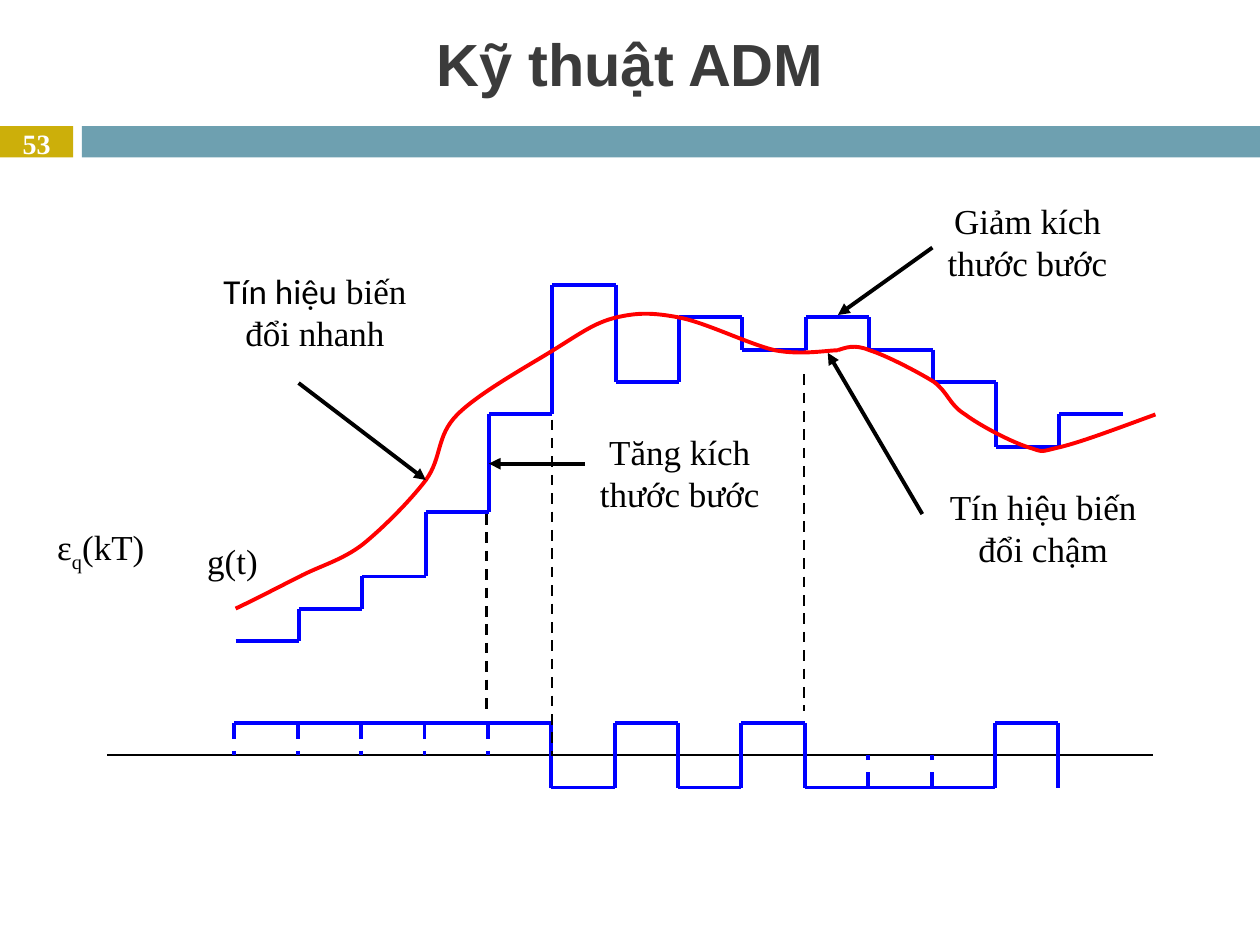
from dataclasses import dataclass
from itertools import pairwise
from typing import Optional

from lxml.etree import SubElement
from pptx import Presentation
from pptx.dml.color import RGBColor
from pptx.enum.dml import MSO_LINE
from pptx.enum.shapes import MSO_CONNECTOR, MSO_SHAPE
from pptx.enum.text import MSO_ANCHOR, PP_ALIGN
from pptx.oxml.ns import qn
from pptx.util import Inches, Pt

COLORS = {
    "gold": "CCAF0A", "teal": "6EA0B0", "white": "FFFFFF", "title": "3B3B3B",
    "black": "000000", "blue": "0000FF", "red": "FF0000",
}
SERIF = "Times New Roman"
Point = tuple[float, float]


@dataclass
class Span:
    text: str
    font: str = SERIF
    baseline: int = 0


@dataclass
class Label:
    spans: list[Span]
    frame: tuple[float, float, float, float]
    arrow: Optional[tuple[Point, Point]] = None
    joined: bool = False  # arrow starts at the middle of the left side


def color(name: str) -> RGBColor:
    return RGBColor.from_string(COLORS[name])


def add_text(page, content: str | list[Span], frame, *, size: float = 20,
             font: str = SERIF, ink: str = "black", bold: bool = False,
             anchor=MSO_ANCHOR.TOP):
    box = page.shapes.add_textbox(*map(Inches, frame))
    text_frame = box.text_frame
    text_frame.word_wrap = True
    text_frame.vertical_anchor = anchor
    text_frame.margin_left = text_frame.margin_right = 0
    text_frame.margin_top = text_frame.margin_bottom = 0
    para = text_frame.paragraphs[0]
    para.alignment = PP_ALIGN.CENTER
    for span in [Span(content, font)] if isinstance(content, str) else content:
        run = para.add_run()
        run.text = span.text
        run.font.name = span.font
        run.font.size = Pt(size)
        run.font.bold = bold
        run.font.color.rgb = color(ink)
        if span.baseline:
            run.font._element.set("baseline", str(span.baseline * 1000))
    return box


def add_bar(page, frame, fill: str) -> None:
    bar = page.shapes.add_shape(MSO_SHAPE.RECTANGLE, *map(Inches, frame))
    bar.shadow.inherit = False
    bar.fill.solid()
    bar.fill.fore_color.rgb = color(fill)
    bar.line.fill.background()


def add_line(page, start: Point, end: Point, *, ink: str = "blue",
             width: float = 2.25, dashed: bool = False, arrow: bool = False):
    line = page.shapes.add_connector(
        MSO_CONNECTOR.STRAIGHT, *map(Inches, (*start, *end)))
    line.line.color.rgb = color(ink)
    line.line.width = Pt(width)
    if dashed:
        line.line.dash_style = MSO_LINE.DASH
    if arrow:
        SubElement(line.line._get_or_add_ln(), qn("a:tailEnd"), type="triangle")
    SubElement(line._element.spPr, qn("a:effectLst"))
    return line


def add_curve(page, points: list[Point], ink: str) -> None:
    """Draw Bezier segments: a start, then two handles and an end for each."""
    builder = page.shapes.build_freeform(
        *[Inches(value) for value in points[0]], scale=1.0)
    builder.add_line_segments(
        [(Inches(x), Inches(y)) for x, y in points[1:]], close=False)
    curve = builder.convert_to_shape()
    curve.shadow.inherit = False
    curve.fill.background()
    curve.line.color.rgb = color(ink)
    curve.line.width = Pt(2.25)
    # Turn every three straight segments into one cubic segment
    outline = next(curve._element.iter(qn("a:path")))
    segments = outline.findall(qn("a:lnTo"))
    for first in range(0, len(segments), 3):
        cubic = SubElement(outline, qn("a:cubicBezTo"))
        for segment in segments[first:first + 3]:
            cubic.append(segment[0])
            outline.remove(segment)


def add_staircase(page, levels: list[int]) -> None:
    left, base = 1.87, 5.09
    step, rise = (8.91 - left) / len(levels), (base - 2.26) / max(levels)
    heights = [base - rise * level for level in levels]
    for index, y in enumerate(heights):
        add_line(page, (left + step * index, y), (left + step * (index + 1), y))
    for index, (before, after) in enumerate(pairwise(heights), start=1):
        x = left + step * index
        add_line(page, (x, before), (x, after))


def add_pulses(page, signs: str) -> None:
    left, axis = 1.86, 5.99
    step = (8.40 - left) / len(signs)
    level = {"+": 5.74, "-": 6.25}
    for index, sign in enumerate(signs):
        x, y = left + step * index, level[sign]
        add_line(page, (x, y), (x + step, y))
        if index and signs[index - 1] != sign:
            add_line(page, (x, level["+"]), (x, level["-"]))
        else:
            add_line(page, (x, y), (x, axis), dashed=True)
    right = left + step * len(signs)
    add_line(page, (right, level["+"]), (right, level["-"]))


LABELS = [
    Label([Span("g(t)")], (1.34, 4.28, 1.01, 0.47)),
    Label([Span("ε"), Span("q", baseline=-25), Span("(kT)")],
          (0.34, 4.17, 0.92, 0.51)),
    Label([Span("Tín hiệu", "Calibri"), Span(" biến đổi nhanh")],
          (1.62, 2.14, 1.76, 0.77), ((2.37, 3.04), (3.38, 3.81))),
    Label([Span("Tín hiệu biến đổi chậm")],
          (7.4, 3.85, 1.76, 0.77), ((7.32, 4.08), (6.57, 2.8))),
    Label([Span("Tăng kích thước bước")],
          (4.64, 3.42, 1.51, 0.77), ((4.64, 3.68), (3.88, 3.68))),
    Label([Span("Giảm kích thước bước")],
          (7.4, 1.58, 1.51, 0.77), ((7.4, 1.98), (6.65, 2.5)), joined=True),
]

SIGNAL_RISE = [
    (1.87, 4.83), (2.04, 4.75), (2.21, 4.66), (2.37, 4.58),
    (2.54, 4.49), (2.71, 4.45), (2.88, 4.32), (3.04, 4.19), (3.25, 3.98),
    (3.38, 3.81), (3.51, 3.63), (3.46, 3.46), (3.63, 3.29), (3.8, 3.12),
    (4.18, 2.91), (4.39, 2.78), (4.6, 2.65), (4.72, 2.56), (4.89, 2.52),
    (5.06, 2.48), (5.18, 2.48), (5.39, 2.52), (5.6, 2.56), (5.94, 2.73),
    (6.15, 2.78), (6.36, 2.82), (6.57, 2.78), (6.65, 2.78),
]
SIGNAL_FALL = [
    (6.65, 2.78), (6.71, 2.76), (6.78, 2.73), (6.9, 2.78),
    (7.03, 2.82), (7.28, 2.95), (7.41, 3.03), (7.53, 3.12), (7.53, 3.21),
    (7.66, 3.29), (7.78, 3.38), (8.03, 3.51), (8.16, 3.55), (8.29, 3.59),
    (8.24, 3.59), (8.41, 3.55), (8.58, 3.51), (8.87, 3.4), (9.17, 3.29),
]
GUIDES = [(3.86, 4.08, 5.67), (4.38, 3.33, 6), (6.38, 2.97, 5.64)]


def main() -> None:
    deck = Presentation()
    deck.slide_width, deck.slide_height = Inches(10), Inches(7.5)
    page = deck.slides.add_slide(deck.slide_layouts[6])

    # Header
    add_bar(page, (0, 1, 0.58, 0.25), "gold")
    add_bar(page, (0.65, 1, 9.35, 0.25), "teal")
    add_text(page, "53", (0, 1, 0.58, 0.27), size=16, ink="white", bold=True,
             anchor=MSO_ANCHOR.MIDDLE)
    add_text(page, "Kỹ thuật ADM", (0, 0.08, 10, 0.83), size=34, font="Arial",
             ink="title", bold=True, anchor=MSO_ANCHOR.MIDDLE)

    # Staircase and the signal it follows
    add_staircase(page, [0, 1, 2, 4, 7, 11, 8, 10, 9, 10, 9, 8, 6, 7])
    add_curve(page, SIGNAL_RISE, "red")
    add_curve(page, SIGNAL_FALL, "red")

    # Labels and their arrows
    for label in LABELS:
        box = add_text(page, label.spans, label.frame)
        if label.arrow:
            arrow = add_line(page, *label.arrow, ink="black", arrow=True)
            if label.joined:
                arrow.begin_connect(box, 1)

    # Pulse train on its axis, with guides to the staircase
    add_line(page, (0.85, 5.99), (9.15, 5.99), ink="black", width=1)
    add_pulses(page, "+++++-+-+---+")
    for x, top, bottom in GUIDES:
        add_line(page, (x, top), (x, bottom), ink="black", width=1.5, dashed=True)

    deck.save("out.pptx")


if __name__ == "__main__":
    main()
